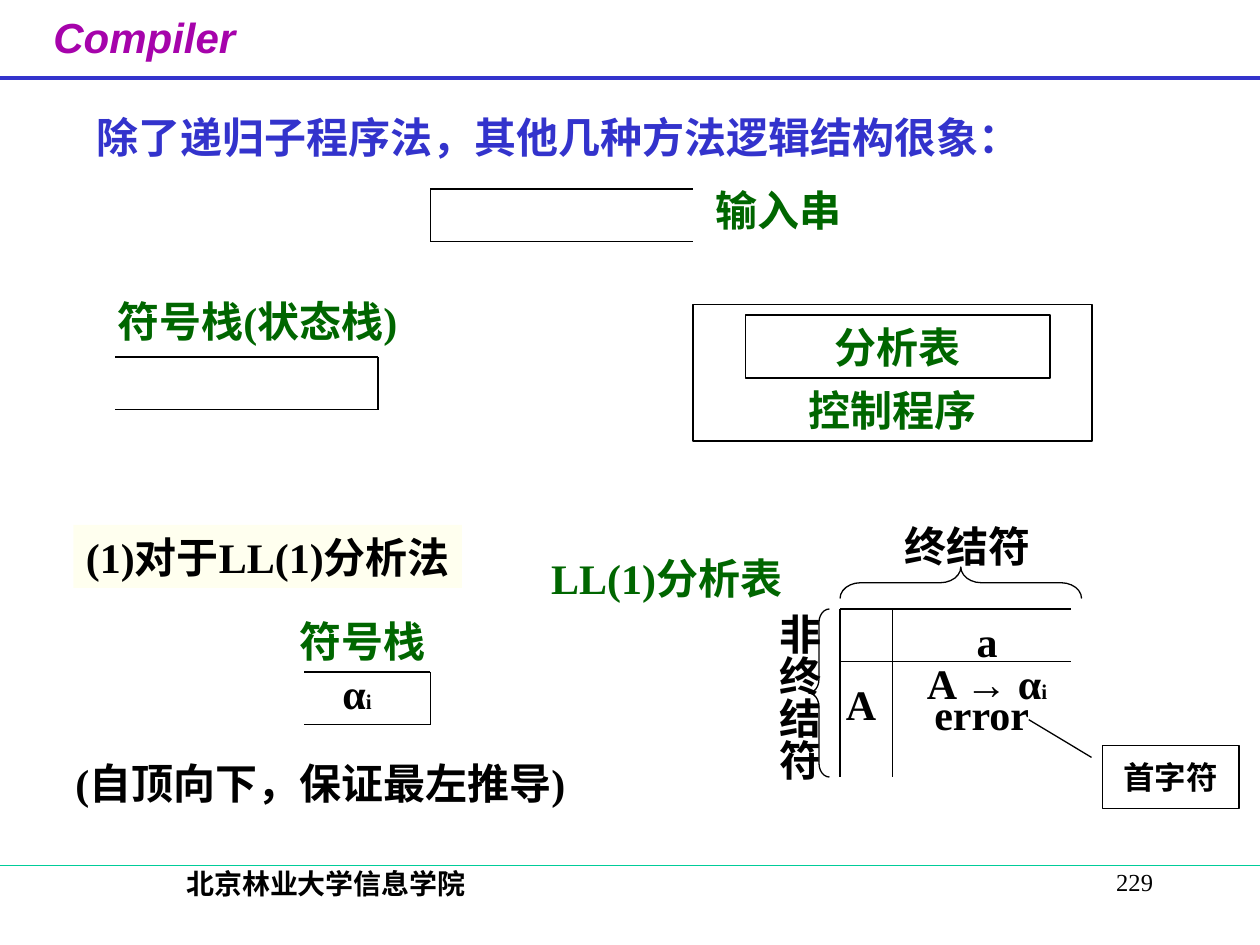
import pptx
import pptx.util
import pptx.dml.color
import pptx.enum.shapes
import pptx.enum.text
import pptx.oxml
import pptx.oxml.ns
from dataclasses import dataclass

SHAPES = pptx.enum.shapes.MSO_SHAPE
ALIGN = pptx.enum.text.PP_ALIGN
ANCHOR = pptx.enum.text.MSO_ANCHOR


@dataclass(frozen=True)
class Theme:
    serif: str = "Times New Roman"
    sans: str = "Arial"
    ink: str = "000000"
    green: str = "006600"
    blue: str = "3333CC"
    purple: str = "A603AB"
    teal: str = "00CC99"
    cream: str = "FFFFE1"
    body: int = 24
    note: int = 18
    footer: int = 16
    page: int = 14
    subscript: int = 12
    thin: float = 0.75
    thick: float = 2.25


THEME = Theme()
COLUMNS, ROWS = 120, 90
ALPHA_I = [("α", THEME.body), ("i", THEME.subscript)]
RULE_I = [("A → α", THEME.body), ("i", THEME.subscript)]

RULES = [(7.44, THEME.blue, THEME.thick), (82.42, THEME.teal, THEME.thin)]

OPEN_FRAMES = [
    {"closed": 41, "open": 66, "top": 18},
    {"closed": 36, "open": 11, "top": 34},
    {"closed": 41, "open": 29, "top": 64},
]
FRAME_ROWS = 5

TABLE = {"left": 80, "top": 58, "right": 102, "bottom": 74, "column": 85, "row": 63}

BRACES = [((90, 44, 3, 23), 90), ((77, 58, 2, 16), 0)]

BOXES = [
    {"cell": (6.2, 81.9, 49.7, 6), "text": "北京林业大学信息学院", "size": THEME.footer,
     "align": ALIGN.CENTER},
    {"cell": (86, 82, 25, 6), "text": "229", "size": THEME.page, "bold": False,
     "align": ALIGN.RIGHT},
    {"cell": (2.3, 0.5, 22.9, 7.4), "text": "Compiler", "color": THEME.purple,
     "font": THEME.sans, "italic": True, "align": ALIGN.CENTER, "wrap": False},
    {"cell": (8, 9, 91, 8), "text": "除了递归子程序法，其他几种方法逻辑结构很象：",
     "color": THEME.blue, "anchor": ANCHOR.MIDDLE},
    {"cell": (67, 17, 25, 6), "text": "输入串", "color": THEME.green,
     "anchor": ANCHOR.MIDDLE},
    {"cell": (26, 58, 17, 6), "text": "符号栈", "color": THEME.green,
     "anchor": ANCHOR.MIDDLE, "align": ALIGN.CENTER},
]

TIGHT_LABELS = [
    ((10, 28, 29, 5), "符号栈(状态栈)", THEME.green, ALIGN.LEFT),
    ((6, 71, 49, 7), "(自顶向下，保证最左推导)", THEME.ink, ALIGN.LEFT),
    ((52, 52, 23, 6), "LL(1)分析表", THEME.green, ALIGN.CENTER),
    ((85, 50, 14, 4), "终结符", THEME.ink, ALIGN.LEFT),
]

ENTRIES = [
    ((27, 63, 14, 6), ALPHA_I),
    ((88, 58, 12, 6), "a"),
    ((76, 64, 12, 6), "A"),
    ((84, 62, 20, 6), RULE_I),
    ((85, 65, 17, 6), "error"),
]

PANELS = [
    {"cell": (66, 29, 38, 13), "text": "控制程序", "color": THEME.green,
     "anchor": ANCHOR.BOTTOM, "align": ALIGN.CENTER},
    {"cell": (71, 30, 29, 6), "text": "分析表", "color": THEME.green,
     "anchor": ANCHOR.MIDDLE, "align": ALIGN.CENTER},
    {"cell": (7, 50, 37, 6), "text": "(1)对于LL(1)分析法", "fill": THEME.cream,
     "outlined": False, "anchor": ANCHOR.MIDDLE, "wrap": False},
    {"cell": (105, 71, 13, 6), "text": "首字符", "size": THEME.note,
     "kind": SHAPES.LINE_CALLOUT_1, "adjust": (0.19, -0.08, -0.41, -0.54),
     "anchor": ANCHOR.MIDDLE, "align": ALIGN.CENTER},
]

presentation = pptx.Presentation()
presentation.slide_width = pptx.util.Inches(10)
presentation.slide_height = pptx.util.Inches(7.5)
slide = presentation.slides.add_slide(presentation.slide_layouts[6])


def rgb(color):
    return pptx.dml.color.RGBColor.from_string(color)


def place(cell):
    steps = (presentation.slide_width / COLUMNS, presentation.slide_height / ROWS) * 2
    return [int(value * step) for value, step in zip(cell, steps)]


def add_line(start, end, color=THEME.ink, width=THEME.thin):
    line = slide.shapes.add_connector(
        pptx.enum.shapes.MSO_CONNECTOR.STRAIGHT, *place(start + end))
    line.line.color.rgb = rgb(color)
    line.line.width = pptx.util.Pt(width)
    line._element.spPr.append(pptx.oxml.parse_xml(
        f"<a:effectLst {pptx.oxml.ns.nsdecls('a')}/>"))


def write(shape, text, size=THEME.body, color=THEME.ink, font=THEME.serif, bold=True,
          italic=False, align=ALIGN.LEFT, anchor=ANCHOR.TOP, wrap=True):
    frame = shape.text_frame
    frame.word_wrap = wrap
    frame.vertical_anchor = anchor
    paragraph = frame.paragraphs[0]
    paragraph.alignment = align
    for words, points in [(text, size)] if isinstance(text, str) else text:
        run = paragraph.add_run()
        run.text = words
        run.font.name = font
        run.font.size = pptx.util.Pt(points)
        run.font.bold = bold
        run.font.italic = italic
        run.font.color.rgb = rgb(color)


def add_text(cell, text, **style):
    box = slide.shapes.add_textbox(*place(cell))
    write(box, text, **style)
    return box


def add_shape(cell, kind=SHAPES.RECTANGLE, adjust=(), fill=None, outlined=True):
    shape = slide.shapes.add_shape(kind, *place(cell))
    shape.shadow.inherit = False
    for index, value in enumerate(adjust):
        shape.adjustments[index] = value
    if fill:
        shape.fill.solid()
        shape.fill.fore_color.rgb = rgb(fill)
        tint = shape._element.spPr.find(".//" + pptx.oxml.ns.qn("a:srgbClr"))
        tint.append(pptx.oxml.parse_xml(
            f"<a:alpha {pptx.oxml.ns.nsdecls('a')} val='50000'/>"))
    else:
        shape.fill.background()
    if outlined:
        shape.line.color.rgb = rgb(THEME.ink)
        shape.line.width = pptx.util.Pt(THEME.thin)
    else:
        shape.line.fill.background()
    return shape


for row, color, width in RULES:
    add_line((0, row), (COLUMNS, row), color, width)

for frame in OPEN_FRAMES:
    top, bottom = frame["top"], frame["top"] + FRAME_ROWS
    for row in (top, bottom):
        add_line((frame["closed"], row), (frame["open"], row))
    add_line((frame["closed"], top), (frame["closed"], bottom))

for row in (TABLE["top"], TABLE["row"]):
    add_line((TABLE["left"], row), (TABLE["right"], row))
for column in (TABLE["left"], TABLE["column"]):
    add_line((column, TABLE["top"]), (column, TABLE["bottom"]))

for cell, rotation in BRACES:
    add_shape(cell, SHAPES.LEFT_BRACE, (0.65, 0.5)).rotation = rotation

for panel in PANELS:
    outline = {key: panel[key] for key in ("cell", "kind", "adjust", "fill", "outlined")
               if key in panel}
    style = {key: value for key, value in panel.items() if key not in outline}
    write(add_shape(**outline), **style)

for box in BOXES:
    add_text(**box)
for cell, text, color, align in TIGHT_LABELS:
    write(add_shape(cell, outlined=False), text, color=color, align=align,
          anchor=ANCHOR.MIDDLE, wrap=False)
for cell, text in ENTRIES:
    add_text(cell, text, align=ALIGN.CENTER)

nonterminals = add_text((71.88, 57.2, 7.2, 19), "非终结符", align=ALIGN.CENTER)
body = nonterminals.text_frame
body._txBody.bodyPr.set("vert", "eaVert")
body.margin_left = body.margin_right = pptx.util.Inches(0.05)
body.margin_top = body.margin_bottom = pptx.util.Inches(0.1)

presentation.save("out.pptx")
